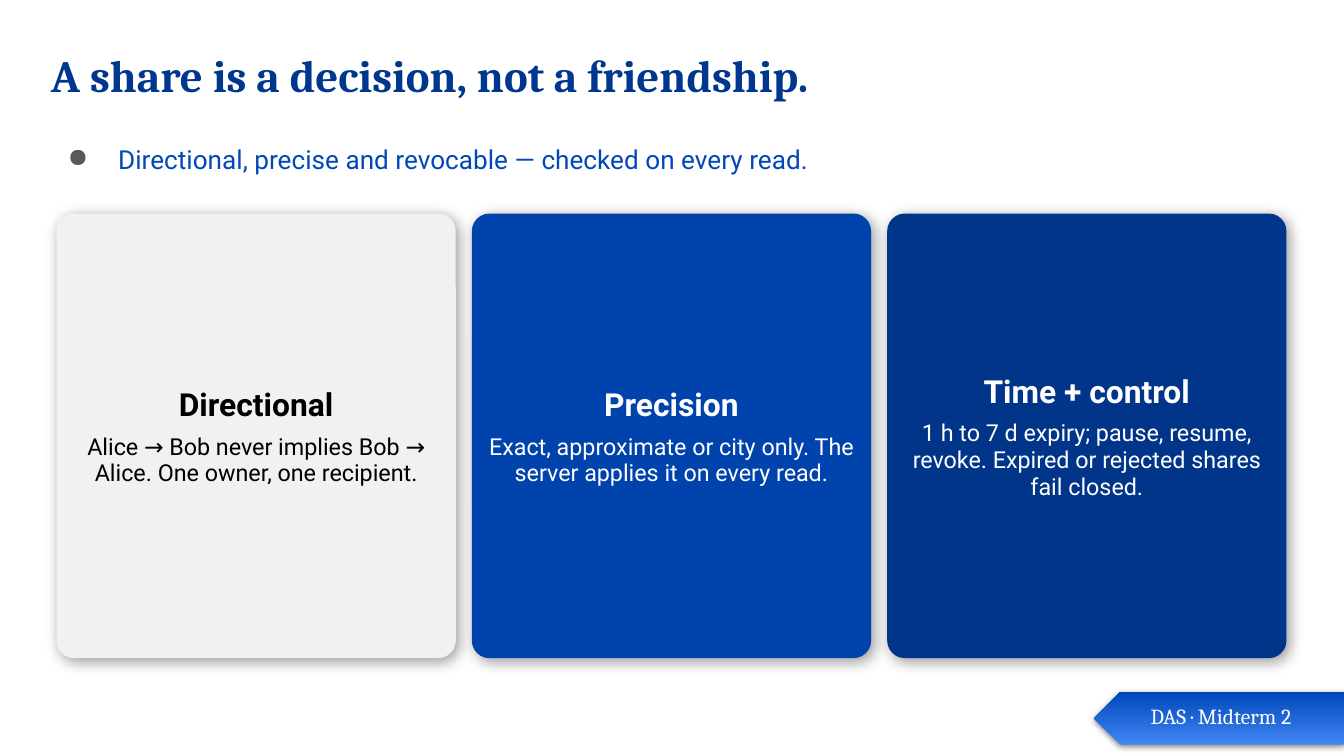
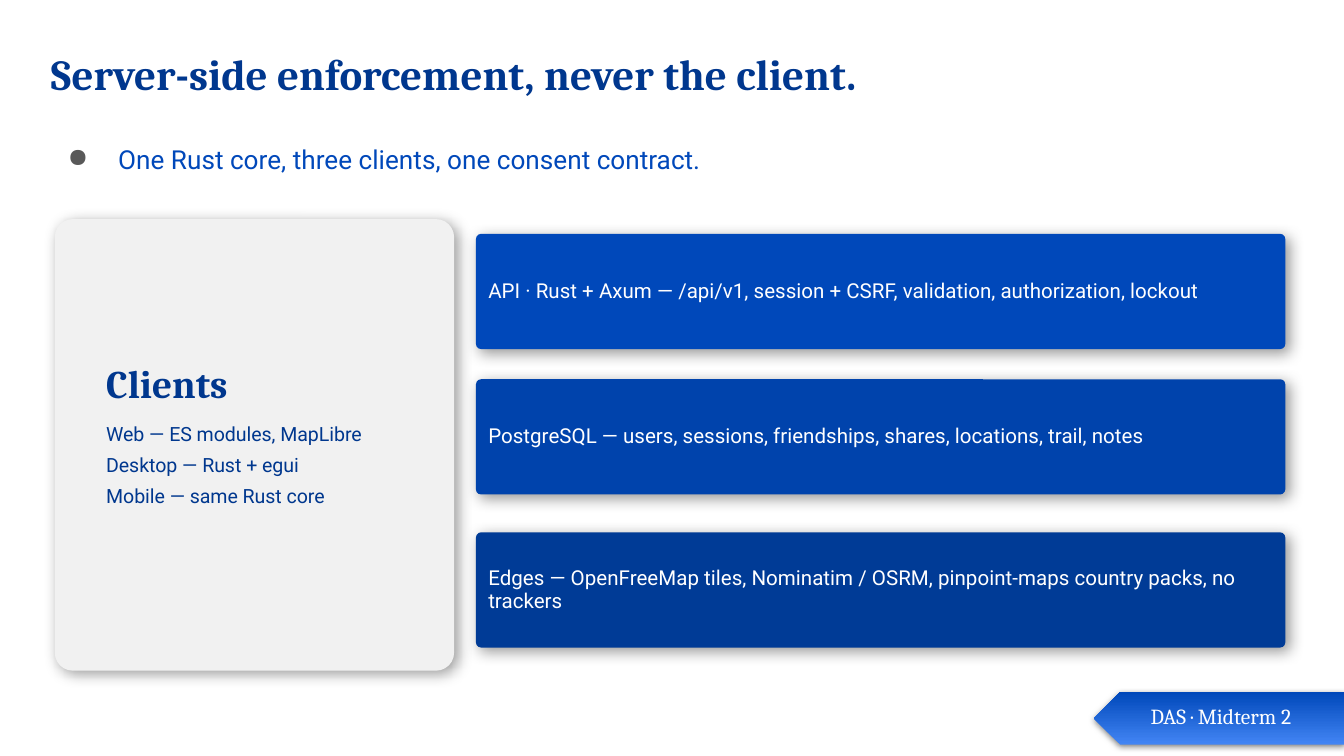
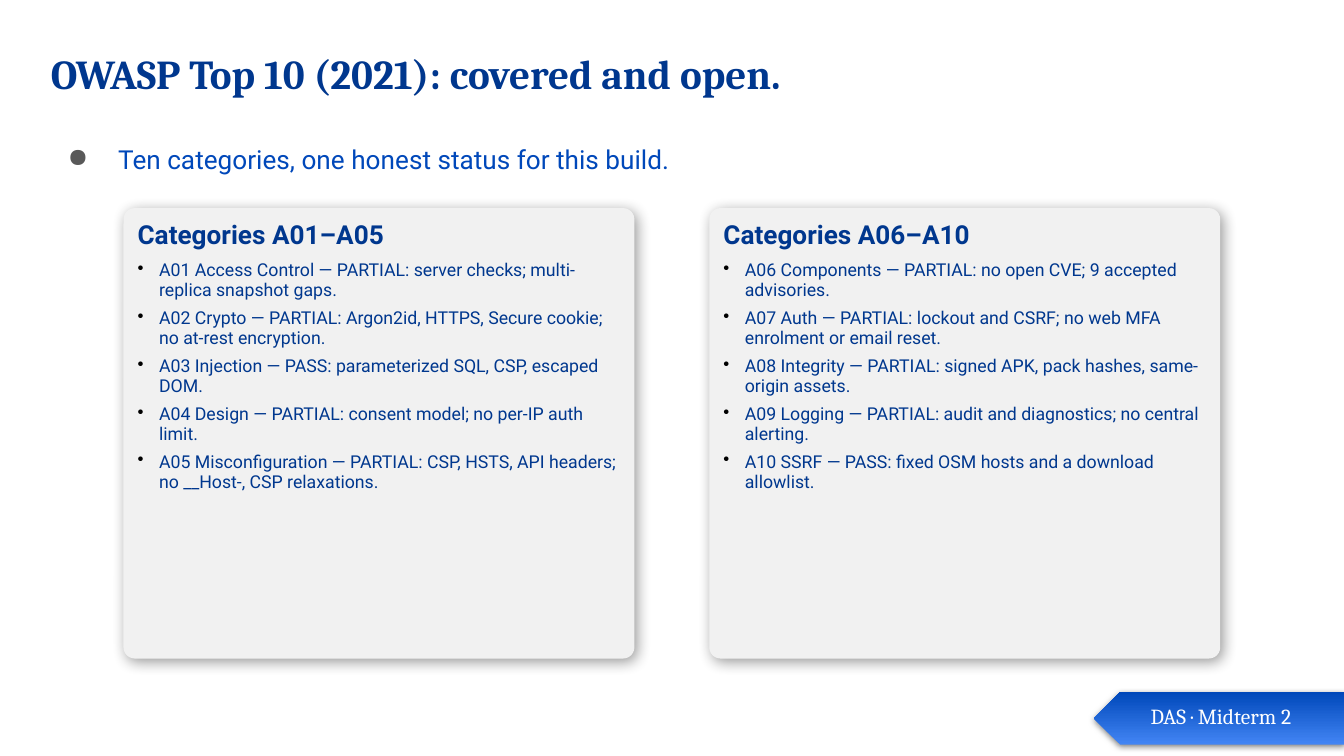
"""Builds three slides on sharing, server architecture and OWASP coverage."""
import pptx
import pptx.dml.color
import pptx.enum.shapes
import pptx.enum.text
import pptx.oxml
import pptx.oxml.ns
import pptx.util

Pt = pptx.util.Pt
SHAPE = pptx.enum.shapes.MSO_SHAPE
ANCHOR = pptx.enum.text.MSO_ANCHOR
ALIGN = pptx.enum.text.PP_ALIGN

COLORS = {
    "white": "FFFFFF", "black": "000000", "grey": "595959", "panel": "F1F1F1",
    "title": "00378E", "accent": "0048BA", "light": "4285F4",
    "blue": "0043AC", "deep": "003B96", "navy": "003589",
}
HEAD, BODY = "Cambria", "Roboto"


class Deck:
    """Holds the style and the current slide."""

    def __init__(self):
        self.prs = pptx.Presentation()
        self.prs.slide_width, self.prs.slide_height = Pt(720), Pt(405)
        self.s = None

    def color(self, name):
        return pptx.dml.color.RGBColor.from_string(COLORS[name])

    def slide(self, title, size, subtitle):
        self.s = self.prs.slides.add_slide(self.prs.slide_layouts[6])
        tf = self.textbox((20.2, 21.6, 671, 48.2), (7.2,) * 4)
        self.para(tf, title, size, "title", HEAD, bold=True, spacing=0.9)
        tf = self.textbox((20.2, 70.6, 671, 38.9), (7.2,) * 4)
        self.para(tf, subtitle, 14, "accent", spacing=0.95, bullet=("●", "grey", 36, 27))

    def frame(self, sp, insets, anchor=ANCHOR.TOP):
        tf = sp.text_frame
        tf.word_wrap = True
        tf.vertical_anchor = anchor
        tf.margin_left, tf.margin_top, tf.margin_right, tf.margin_bottom = map(Pt, insets)
        return tf

    def textbox(self, box, insets, anchor=ANCHOR.TOP, shapes=None):
        sp = (shapes or self.s.shapes).add_textbox(*map(Pt, box))
        return self.frame(sp, insets, anchor)

    def shadow(self, sp, alpha, blur, dist, angle):
        sp.shadow.inherit = False
        effects = sp._element.spPr.find(pptx.oxml.ns.qn("a:effectLst"))
        effects.append(pptx.oxml.parse_xml(
            f'<a:outerShdw {pptx.oxml.ns.nsdecls("a")} blurRad="{Pt(blur)}" dist="{Pt(dist)}" '
            f'dir="{angle * 60000}" algn="bl" rotWithShape="0"><a:srgbClr val="{COLORS["black"]}">'
            f'<a:alpha val="{alpha * 1000}"/></a:srgbClr></a:outerShdw>'))

    def card(self, box, fill, radius=0.045, insets=(5.8, 2.9, 5.8, 2.9), anchor=ANCHOR.MIDDLE):
        sp = self.s.shapes.add_shape(SHAPE.ROUNDED_RECTANGLE, *map(Pt, box))
        sp.adjustments[0] = radius
        sp.fill.solid()
        sp.fill.fore_color.rgb = self.color(fill)
        sp.line.fill.background()
        self.shadow(sp, 40, 8, 2.4, 45)
        return self.frame(sp, insets, anchor)

    def para(self, tf, text, size, color, font=BODY, bold=False, align=ALIGN.LEFT,
             spacing=None, after=None, bullet=None):
        p = tf.add_paragraph() if tf.text else tf.paragraphs[0]
        p.text = text
        p.alignment = align
        if spacing:
            p.line_spacing = spacing
        if after:
            p.space_after = Pt(after)
        if bullet:
            self.bullet(p, *bullet)
        for r in p.runs:
            r.font.name, r.font.size, r.font.bold = font, Pt(size), bold
            r.font.color.rgb = self.color(color)

    def bullet(self, p, char, color, left, hang):
        ns = pptx.oxml.ns.nsdecls("a")
        pPr = p._p.get_or_add_pPr()
        pPr.set("marL", str(Pt(left)))
        pPr.set("indent", str(-Pt(hang)))
        pPr.append(pptx.oxml.parse_xml(
            f'<a:buClr {ns}><a:srgbClr val="{COLORS[color]}"/></a:buClr>'))
        pPr.append(pptx.oxml.parse_xml(f'<a:buChar {ns} char="{char}"/>'))

    def footer(self):
        shapes = self.s.shapes.add_group_shape().shapes
        sp = shapes.add_shape(SHAPE.PENTAGON, *map(Pt, (586.1, 370.8, 133.9, 28.1)))
        sp.rotation = 180
        sp.fill.gradient()
        sp.fill.gradient_angle = 270
        for stop, position, name in zip(sp.fill.gradient_stops, (0, 1), ("light", "accent")):
            stop.position = position
            stop.color.rgb = self.color(name)
        sp.line.fill.background()
        self.shadow(sp, 50, 3.4, 1.1, 90)
        tf = self.textbox((610.6, 370.8, 97.9, 27.4), (5.8,) * 4, shapes=shapes)
        tf.auto_size = pptx.enum.text.MSO_AUTO_SIZE.SHAPE_TO_FIT_TEXT
        self.para(tf, "DAS · Midterm 2", 11.5, "white", HEAD)


def share_slide(deck):
    deck.slide("A share is a decision, not a friendship.", 24,
               "Directional, precise and revocable — checked on every read.")
    cards = [
        ("Directional", "Alice → Bob never implies Bob → Alice. One owner, one recipient.",
         "panel", "black"),
        ("Precision", "Exact, approximate or city only. The server applies it on every read.",
         "blue", "white"),
        ("Time + control",
         "1 h to 7 d expiry; pause, resume, revoke. Expired or rejected shares fail closed.",
         "navy", "white"),
    ]
    for i, (head, body, fill, color) in enumerate(cards):
        tf = deck.card((30.3 + i * 222.5, 114.4, 213.9, 238.2), fill, 0.044)
        deck.para(tf, head, 17, color, bold=True, align=ALIGN.CENTER, after=6)
        deck.para(tf, body, 12.5, color, align=ALIGN.CENTER, spacing=0.95)
    deck.footer()


def server_slide(deck):
    deck.slide("Server-side enforcement, never the client.", 23,
               "One Rust core, three clients, one consent contract.")
    deck.card((29.4, 117.4, 213.9, 241.9), "panel")
    tf = deck.textbox((52.6, 136.1, 180, 192.2), (4.3, 2.9, 4.3, 2.9), ANCHOR.MIDDLE)
    deck.para(tf, "Clients", 21, "title", HEAD, bold=True, after=8)
    for client in ("Web — ES modules, MapLibre", "Desktop — Rust + egui",
                   "Mobile — same Rust core"):
        deck.para(tf, client, 10.5, "title", after=4)
    layers = [
        (125.3, "accent",
         "API · Rust + Axum — /api/v1, session + CSRF, validation, authorization, lockout"),
        (203.2, "blue",
         "PostgreSQL — users, sessions, friendships, shares, locations, trail, notes"),
        (285.2, "deep",
         "Edges — OpenFreeMap tiles, Nominatim / OSRM, pinpoint-maps country packs, no trackers"),
    ]
    for top, fill, text in layers:
        tf = deck.card((255, top, 433.6, 61.7), fill)
        deck.para(tf, text, 11, "white", spacing=0.95)
    deck.footer()


def owasp_slide(deck):
    deck.slide("OWASP Top 10 (2021): covered and open.", 22,
               "Ten categories, one honest status for this build.")
    columns = [
        ("Categories A01–A05", [
            "A01 Access Control — PARTIAL: server checks; multi-replica snapshot gaps.",
            "A02 Crypto — PARTIAL: Argon2id, HTTPS, Secure cookie; no at-rest encryption.",
            "A03 Injection — PASS: parameterized SQL, CSP, escaped DOM.",
            "A04 Design — PARTIAL: consent model; no per-IP auth limit.",
            "A05 Misconfiguration — PARTIAL: CSP, HSTS, API headers; no __Host-, CSP relaxations.",
        ]),
        ("Categories A06–A10", [
            "A06 Components — PARTIAL: no open CVE; 9 accepted advisories.",
            "A07 Auth — PARTIAL: lockout and CSRF; no web MFA enrolment or email reset.",
            "A08 Integrity — PARTIAL: signed APK, pack hashes, same-origin assets.",
            "A09 Logging — PARTIAL: audit and diagnostics; no central alerting.",
            "A10 SSRF — PASS: fixed OSM hosts and a download allowlist.",
        ]),
    ]
    for i, (head, items) in enumerate(columns):
        tf = deck.card((66.2 + i * 313.8, 111.5, 273.7, 241.3), "panel", 0.025,
                       (5.8, 3.6, 4.3, 2.2), ANCHOR.TOP)
        deck.para(tf, head, 14, "title", bold=True, after=6)
        for item in items:
            deck.para(tf, item, 9.5, "title", spacing=0.95, after=4,
                      bullet=("•", "black", 11.5, 11.5))
    deck.footer()


def main():
    deck = Deck()
    share_slide(deck)
    server_slide(deck)
    owasp_slide(deck)
    deck.prs.save("out.pptx")


if __name__ == "__main__":
    main()
